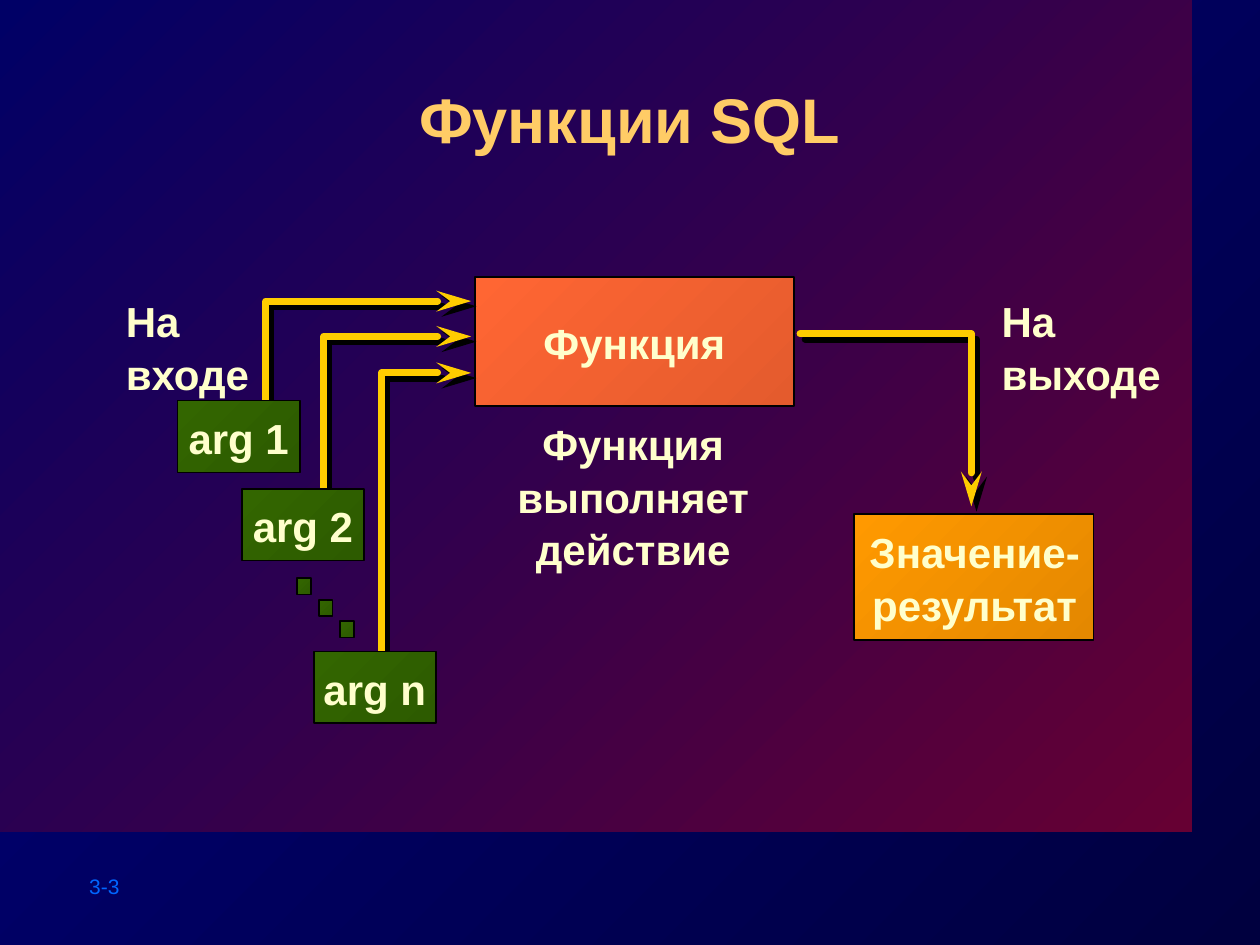
from dataclasses import dataclass

from lxml import etree
from pptx import Presentation
from pptx.dml.color import RGBColor as Color
from pptx.enum.shapes import MSO_SHAPE as Preset
from pptx.enum.text import MSO_ANCHOR as Anchor, MSO_AUTO_SIZE as AutoSize, PP_ALIGN as Align
from pptx.oxml import parse_xml
from pptx.oxml.ns import nsdecls, qn
from pptx.util import Inches, Pt


@dataclass(frozen=True)
class Theme:
    # Gradients run from the bottom right corner to the top left one
    background: tuple = ("00003F", "000080")
    panel: tuple = ("660033", "000066")
    function: tuple = ("E45B2D", "FF6633")
    argument: tuple = ("2D5B00", "336600")
    result: tuple = ("E48800", "FF9900")
    title: str = "FFCC66"
    text: str = "FFFFCC"
    page: str = "0066FF"
    arrow: str = "FFCC00"
    outline: str = "000000"
    font: str = "Arial"
    title_size: int = 36
    text_size: int = 24
    page_size: int = 12


THEME = Theme()


def write_text(frame, text, size=THEME.text_size, color=THEME.text, bold=True,
               align=Align.LEFT, anchor=Anchor.TOP, wrap=False,
               inset=(0.1, 0.05), line_spacing=1.05):
    """Fill a text frame, one paragraph for each line of text."""
    frame.auto_size = AutoSize.NONE
    frame.word_wrap = wrap
    frame.vertical_anchor = anchor
    frame.margin_left = frame.margin_right = Inches(inset[0])
    frame.margin_top = frame.margin_bottom = Inches(inset[1])
    for number, line in enumerate(text.split("\n")):
        paragraph = frame.add_paragraph() if number else frame.paragraphs[0]
        paragraph.alignment = align
        paragraph.line_spacing = line_spacing
        paragraph.space_before = Pt(0)
        run = paragraph.add_run()
        run.text = line
        run.font.name = THEME.font
        run.font.size = Pt(size)
        run.font.bold = bold
        run.font.color.rgb = Color.from_string(color)


def shadow_effect(distance):
    return parse_xml(
        f'<a:effectLst {nsdecls("a")}><a:outerShdw dist="{Pt(distance)}" dir="2700000" '
        f'algn="ctr" rotWithShape="0"><a:srgbClr val="{THEME.outline}"/>'
        '</a:outerShdw></a:effectLst>')


def apply_gradient(fill, colors):
    fill.gradient()
    fill.gradient_angle = 135
    for stop, color in zip(fill.gradient_stops, colors):
        stop.color.rgb = Color.from_string(color)


class SlideBuilder:
    def __init__(self, presentation, theme):
        self.theme = theme
        self.slide = presentation.slides.add_slide(presentation.slide_layouts[5])
        self.shapes = self.slide.shapes
        apply_gradient(self.slide.background.fill, theme.background)

    def title(self, text, left, top, width, height):
        shape = self.shapes.title
        shape.left, shape.top = Inches(left), Inches(top)
        shape.width, shape.height = Inches(width), Inches(height)
        write_text(shape.text_frame, text, size=self.theme.title_size,
                   color=self.theme.title, align=Align.CENTER, wrap=True)
        properties = shape.text_frame.paragraphs[0].runs[0].font._element
        properties.find(qn("a:solidFill")).addnext(shadow_effect(4.2))
        # Bring the title in front of the panel
        self.shapes._spTree.append(shape._element)

    def box(self, colors, left, top, width, height, text=None, outlined=True, **text_format):
        shape = self.shapes.add_shape(
            Preset.RECTANGLE, Inches(left), Inches(top), Inches(width), Inches(height))
        shape.shadow.inherit = False
        apply_gradient(shape.fill, colors)
        if outlined:
            shape.line.color.rgb = Color.from_string(self.theme.outline)
            shape.line.width = Pt(1)
        else:
            shape.line.fill.background()
        if text:
            write_text(shape.text_frame, text, align=Align.CENTER,
                       anchor=Anchor.MIDDLE, **text_format)

    def label(self, text, left, top, width, height, **text_format):
        shape = self.shapes.add_textbox(
            Inches(left), Inches(top), Inches(width), Inches(height))
        write_text(shape.text_frame, text, **text_format)

    def arrow(self, *points):
        """Draw an open bent line that ends in an arrowhead."""
        start, *rest = [(Inches(x), Inches(y)) for x, y in points]
        builder = self.shapes.build_freeform(*start)
        builder.add_line_segments(rest, close=False)
        shape = builder.convert_to_shape()
        shape.fill.background()
        shape.line.color.rgb = Color.from_string(self.theme.arrow)
        shape.line.width = Pt(4)
        line = shape.line._get_or_add_ln()
        line.set("cap", "rnd")
        etree.SubElement(line, qn("a:round"))
        etree.SubElement(line, qn("a:tailEnd"), type="stealth", w="med", len="lg")
        line.addnext(shadow_effect(4.2))


def main():
    presentation = Presentation()
    presentation.slide_width, presentation.slide_height = Inches(10), Inches(7.5)
    builder = SlideBuilder(presentation, THEME)

    # Panel, page number and title
    builder.box(THEME.panel, 0, 0, 9.46, 6.6, outlined=False)
    builder.label("3-3", 0.61, 6.88, 1.11, 0.3, size=THEME.page_size,
                  color=THEME.page, bold=False, line_spacing=1)
    builder.title("Функции SQL", 1.01, 0.56, 7.98, 0.96)

    # Function
    builder.box(THEME.function, 3.77, 2.2, 2.53, 1.02, "Функция")
    builder.label("Функция\nвыполняет\nдействие", 3.6, 3.25, 2.85, 1.3,
                  align=Align.CENTER, wrap=True)

    # Input arguments, each with an arrow to the function
    builder.label("На\nвходе", 0.9, 2.28, 1.19, 0.9)
    arguments = [  # text, left, top, arrow x, arrow start y, arrow end y
        ("arg 1", 1.41, 3.18, 2.11, 3.35, 2.39),
        ("arg 2", 1.92, 3.88, 2.57, 3.96, 2.67),
        ("arg n", 2.49, 5.17, 3.03, 5.23, 2.96),
    ]
    for text, left, top, x, start_y, end_y in arguments:
        builder.arrow((x, start_y), (x, end_y), (3.74, end_y))
        builder.box(THEME.argument, left, top, 0.97, 0.57, text, inset=(0.13, 0.07))

    # Dots for the arguments left out
    for step in range(3):
        builder.box(THEME.argument, 2.36 + 0.17 * step, 4.59 + 0.17 * step, 0.11, 0.13)

    # Output value
    builder.arrow((6.35, 2.65), (7.71, 2.65), (7.71, 4.02))
    builder.label("На\nвыходе", 7.85, 2.28, 1.48, 0.9)
    builder.box(THEME.result, 6.78, 4.08, 1.9, 1)
    builder.label("Значение-\nрезультат", 6.89, 4.14, 1.69, 0.88,
                  align=Align.CENTER, anchor=Anchor.MIDDLE)

    presentation.save("out.pptx")


if __name__ == "__main__":
    main()
